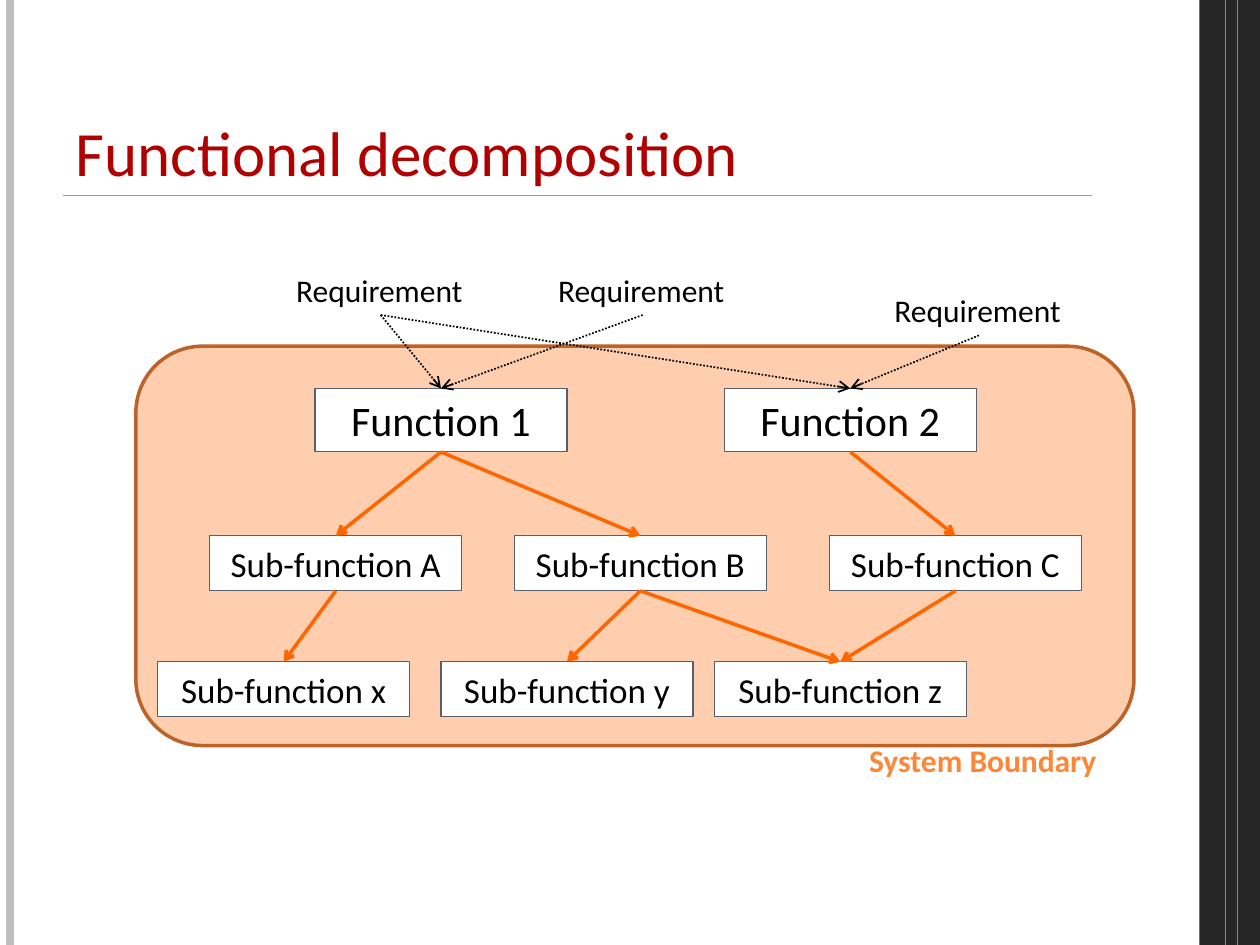
"""Build a slide that shows how requirements lead to functions and sub-functions."""
from dataclasses import dataclass

from pptx import Presentation
from pptx.dml.color import RGBColor as Rgb
from pptx.enum.dml import MSO_LINE as Dash
from pptx.enum.shapes import MSO_CONNECTOR as Link, MSO_SHAPE as Form
from pptx.enum.text import MSO_ANCHOR as Anchor, MSO_AUTO_SIZE as Fit, PP_ALIGN as Align
from pptx.oxml.ns import qn
from pptx.util import Cm, Pt
from lxml.etree import SubElement as Sub


@dataclass(frozen=True)
class Theme:
    font: str = "Calibri"
    title: str = "B00000"
    ink: str = "000000"
    paper: str = "FFFFFF"
    bar: str = "262626"
    edge: str = "BFBFBF"
    rule: str = "969EAB"
    frame: str = "575F6D"
    arrow: str = "FF6600"
    bound: str = "FE8637"
    rim: str = "BC6329"
    head: int = 36
    big: int = 24
    mid: int = 20
    small: int = 18


LOOK = Theme()
BOTTOM, TOP = 2, 0


def write(shape, text, size, color=LOOK.ink, bold=False, align=Align.LEFT):
    frame = shape.text_frame
    frame.text = text
    para = frame.paragraphs[0]
    para.alignment = align
    font = para.runs[0].font
    font.name, font.size, font.bold = LOOK.font, Pt(size), bold
    font.color.rgb = Rgb.from_string(color)


def add_label(slide, text, box, size, color=LOOK.ink, bold=False, wrap=True, fit=Fit.SHAPE_TO_FIT_TEXT):
    label = slide.shapes.add_textbox(*map(Cm, box))
    label.text_frame.word_wrap = wrap
    label.text_frame.auto_size = fit
    write(label, text, size, color, bold)
    return label


def add_block(slide, form, box, fill, line=None, width=0.75):
    block = slide.shapes.add_shape(form, *map(Cm, box))
    block.shadow.inherit = False
    block.fill.solid()
    block.fill.fore_color.rgb = Rgb.from_string(fill)
    if line:
        block.line.color.rgb = Rgb.from_string(line)
        block.line.width = Pt(width)
    else:
        block.line.fill.background()
    return block


def add_box(slide, text, left, top, high, size):
    box = add_block(slide, Form.RECTANGLE, (left, top, 5.08, high), LOOK.paper, LOOK.frame)
    box.text_frame.word_wrap = True
    box.text_frame.auto_size = Fit.SHAPE_TO_FIT_TEXT
    write(box, text, size, align=Align.CENTER)
    return box


def add_line(slide, ends, color, width):
    line = slide.shapes.add_connector(Link.STRAIGHT, *map(Cm, ends))
    line.line.color.rgb = Rgb.from_string(color)
    line.line.width = Pt(width)
    Sub(line._element.spPr, qn("a:effectLst"))
    return line


def add_arrow(slide, start, end, color, width, dash=None):
    arrow = add_line(slide, (0, 0, 0, 0), color, width)
    arrow.begin_connect(start, BOTTOM)
    arrow.end_connect(end, TOP)
    if dash:
        arrow.line.dash_style = dash
    Sub(arrow.line._get_or_add_ln(), qn("a:tailEnd"), type="arrow")


def add_decor(slide):
    add_block(slide, Form.RECTANGLE, (24.18, 0, 1.22, 19.05), LOOK.bar)
    for left, color, width in ((0.2, LOOK.edge, 4.5), (24.71, LOOK.arrow, 0.75), (24.94, LOOK.arrow, 0.75)):
        add_line(slide, (left, 0, left, 19.05), color, width)
    add_line(slide, (1.27, 3.94, 22.02, 3.94), LOOK.rule, 1)


def add_bound(slide):
    bound = add_block(slide, Form.ROUNDED_RECTANGLE, (2.74, 6.98, 20.12, 8.05), LOOK.bound, LOOK.rim, 2)
    tint = bound._element.spPr.find(qn("a:solidFill"))[0]
    Sub(tint, qn("a:alpha"), val="40000")
    add_label(slide, "System Boundary", (17.27, 14.81, 8.13, 1.02), LOOK.small, LOOK.bound, True)


def add_tree(slide):
    needs = [
        add_label(slide, "Requirement", (left, top, 3.91, 1.02), LOOK.small, wrap=False)
        for left, top in ((5.72, 5.33), (11, 5.33), (17.78, 5.74))
    ]
    rows = (
        ("Function ", 7.83, 1.28, LOOK.big, {"1": 6.35, "2": 14.6}),
        ("Sub-function ", 10.8, 1.11, LOOK.mid, {"A": 4.23, "B": 10.37, "C": 16.72}),
        ("Sub-function ", 13.34, 1.11, LOOK.mid, {"x": 3.18, "y": 8.89, "z": 14.4}),
    )
    boxes = {
        key: add_box(slide, stem + key, left, top, high, size)
        for stem, top, high, size, spots in rows
        for key, left in spots.items()
    }
    for need, key in ((0, "1"), (1, "1"), (0, "2"), (2, "2")):
        add_arrow(slide, needs[need], boxes[key], LOOK.ink, 1, Dash.ROUND_DOT)
    for start, end in ("1A", "1B", "2C", "Ax", "By", "Bz", "Cz"):
        add_arrow(slide, boxes[start], boxes[end], LOOK.arrow, 2)


def main():
    deck = Presentation()
    deck.slide_width, deck.slide_height = Cm(25.4), Cm(19.05)
    slide = deck.slides.add_slide(deck.slide_layouts[6])
    add_decor(slide)
    title = add_label(slide, "Functional decomposition", (1.27, 0.76, 20.75, 3.18), LOOK.head, LOOK.title, fit=Fit.NONE)
    title.text_frame.vertical_anchor = Anchor.BOTTOM
    add_bound(slide)
    add_tree(slide)
    deck.save("out.pptx")


if __name__ == "__main__":
    main()
